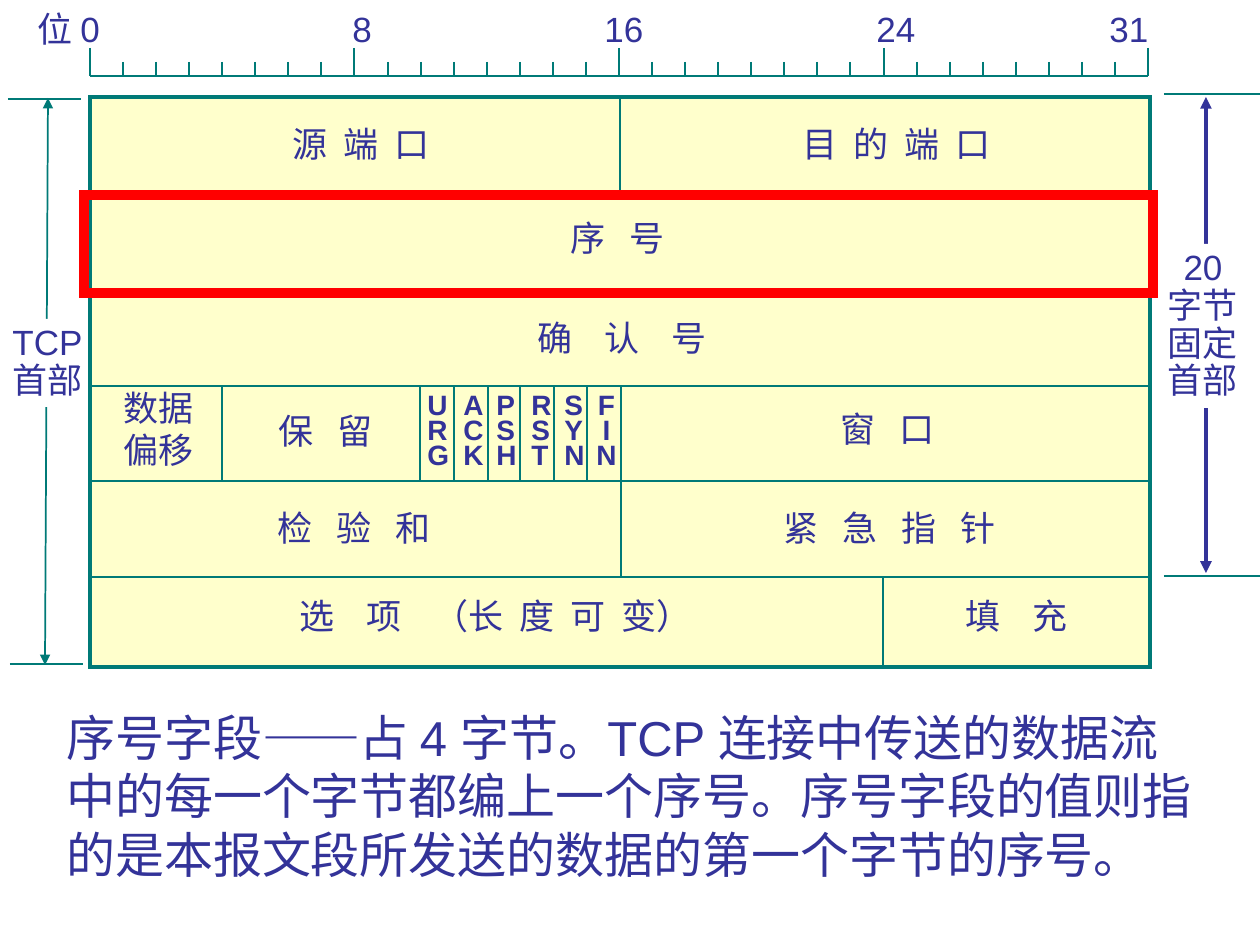
from pptx import Presentation
from pptx.dml.color import RGBColor
from pptx.enum.shapes import MSO_CONNECTOR, MSO_SHAPE
from pptx.enum.text import MSO_AUTO_SIZE, PP_ALIGN
from pptx.oxml.ns import qn
from pptx.util import Emu, Pt
from lxml import etree

PX = 914400 // 126
TEAL = RGBColor(0x00, 0x7A, 0x77)
NAVY = RGBColor(0x33, 0x33, 0x99)
CREAM = RGBColor(0xFF, 0xFF, 0xCC)
WHITE = RGBColor(0xFF, 0xFF, 0xFF)
RED = RGBColor(0xFF, 0x00, 0x00)
FONT = "Arial"
RECT = MSO_SHAPE.RECTANGLE
LINE = MSO_CONNECTOR.STRAIGHT
FIT = MSO_AUTO_SIZE.SHAPE_TO_FIT_TEXT
LEFT, MID = PP_ALIGN.LEFT, PP_ALIGN.CENTER
SPACE = 2.3

X0, X1 = 90, 1150
ROWS = [97, 194, 290, 386, 481, 577, 667]
HALF = 620
TICKS = 32

FIELDS = [
    (280, 116, 180, [("源 端 口", 2)]),
    (790, 116, 230, [("目 的 端 口", 2)]),
    (558, 210, 190, [("序 号", 3)]),
    (525, 310, 253, [("确 认 号", 4)]),
    (266, 403, 145, [("保 留", 3)]),
    (828, 401, 145, [("窗 口", 3)]),
    (265, 500, 205, [("检 验 和", 3)]),
    (771, 500, 262, [("紧 急 指 针", 3)]),
    (287, 588, 441, [("选 项 ", 4), ("（", 1), ("长 度 可 ", 2), ("变）", 1)]),
    (953, 588, 173, [("填 充", 4)]),
]
FLAGS = [
    (420, 415, "URG", LEFT),
    (454, 451, "ACK", LEFT),
    (488, 484, "PSH", LEFT),
    (520, 519, "RST", LEFT),
    (554, 552, "SYN", LEFT),
    (587, 584, "FIN", MID),
]
MARKS = [("8", 315), ("16", 567), ("24", 839), ("31", 1072)]
NOTE = ("序号字段——占 4 字节。TCP 连接中传送的数据流中的每一个字节都编上一个序号。"
        "序号字段的值则指的是本报文段所发送的数据的第一个字节的序号。")


def px(n):
    return Emu(n * PX)


def add_line(slide, x1, y1, x2, y2, color=TEAL, width=1, heads=False):
    line = slide.shapes.add_connector(LINE, px(x1), px(y1), px(x2), px(y2))
    line.line.color.rgb = color
    line.line.width = Pt(width)
    props = line._element.spPr
    if heads:
        for tag in ("a:headEnd", "a:tailEnd"):
            etree.SubElement(props.find(qn("a:ln")), qn(tag), type="triangle")
    etree.SubElement(props, qn("a:effectLst"))
    return line


def add_rect(slide, x, y, w, h, fill, color, width):
    rect = slide.shapes.add_shape(RECT, px(x), px(y), px(w), px(h))
    rect.shadow.inherit = False
    if fill is None:
        rect.fill.background()
    else:
        rect.fill.solid()
        rect.fill.fore_color.rgb = fill
    rect.line.color.rgb = color
    rect.line.width = Pt(width)
    edge = rect._element.spPr.find(qn("a:ln"))
    etree.SubElement(edge, qn("a:miter"), lim="800000")
    return rect


def add_text(slide, x, y, w, h, paras, size=20, bold=False, align=LEFT,
             pitch=None, wrap=False, fill=None, tabs=()):
    box = slide.shapes.add_textbox(px(x), px(y), px(w), px(h))
    if fill is not None:
        box.fill.solid()
        box.fill.fore_color.rgb = fill
    frame = box.text_frame
    frame.word_wrap = wrap
    frame.auto_size = FIT
    for i, runs in enumerate(paras):
        para = frame.add_paragraph() if i else frame.paragraphs[0]
        para.alignment = align
        if pitch:
            para.line_spacing = pitch
        if tabs:
            stops = etree.SubElement(para._p.get_or_add_pPr(), qn("a:tabLst"))
            for stop in tabs:
                etree.SubElement(stops, qn("a:tab"), pos=str(px(stop)), algn="l")
        for text, gap in runs:
            run = para.add_run()
            run.text = text
            run.font.name = FONT
            run.font.size = Pt(size)
            run.font.bold = bold
            run.font.color.rgb = NAVY
            if gap > 1:
                run._r.get_or_add_rPr().set("spc", str(round((gap - 1) * SPACE * 100)))


def plain(words):
    return [[(word, 1)] for word in words]


def add_spans(slide):
    add_line(slide, 48, 98, 45, 665, heads=True)
    add_text(slide, 0, 319, 96, 88, plain(["TCP", "首部"]), pitch=0.9, fill=WHITE)
    add_line(slide, 1206, 97, 1206, 573, NAVY, 2.25, True)
    add_text(slide, 1155, 244, 96, 164, plain(["20", "字节", "固定", "首部"]),
             align=MID, pitch=0.9, fill=WHITE)
    for x, y, w in ((1164, 94, 115), (1164, 576, 115), (8, 99, 73), (10, 664, 73)):
        add_line(slide, x, y, x + w, y)


def add_ruler(slide):
    left, right, base = 90, 1148, 76
    add_line(slide, left, base, right, base)
    for i in range(TICKS + 1):
        x = left + round(i * (right - left) / TICKS)
        add_line(slide, x, 62 if i % 8 else 48, x, base)
    runs = [("位 0", 1)] + [("\t" + mark, 1) for mark, stop in MARKS]
    add_text(slide, 25, 1, 1139, 54, [runs], wrap=True,
             tabs=[stop for mark, stop in MARKS])


def add_grid(slide):
    frame = add_rect(slide, X0, ROWS[0], X1 - X0, ROWS[-1] - ROWS[0], CREAM, TEAL, 2)
    for y in ROWS[1:-1]:
        add_line(slide, X0, y, X1, y)
    port = add_line(slide, HALF, ROWS[0], HALF, ROWS[1])
    port.begin_connect(frame, 0)
    add_line(slide, HALF + 1, ROWS[3], HALF + 1, ROWS[5])
    add_line(slide, 883, ROWS[5], 883, ROWS[6])
    for x in [222] + [flag[0] for flag in FLAGS]:
        add_line(slide, x, ROWS[3], x, ROWS[4])


def add_names(slide):
    for x, y, w, runs in FIELDS:
        add_text(slide, x, y, w, 54, [runs], wrap=True)
    add_text(slide, 111, 380, 96, 96, plain(["数据", "偏移"]))
    for edge, x, name, align in FLAGS:
        add_text(slide, x, 389, 45, 88, plain(name), 16, True, align, 0.75)


def main():
    deck = Presentation()
    deck.slide_width, deck.slide_height = px(1260), px(945)
    slide = deck.slides.add_slide(deck.slide_layouts[6])
    add_spans(slide)
    add_grid(slide)
    add_names(slide)
    add_ruler(slide)
    add_text(slide, 54, 701, 1160, 189, plain([NOTE]), 28, wrap=True)
    add_rect(slide, 84, 195, 1069, 98, None, RED, 6)
    deck.save("out.pptx")


if __name__ == "__main__":
    main()
